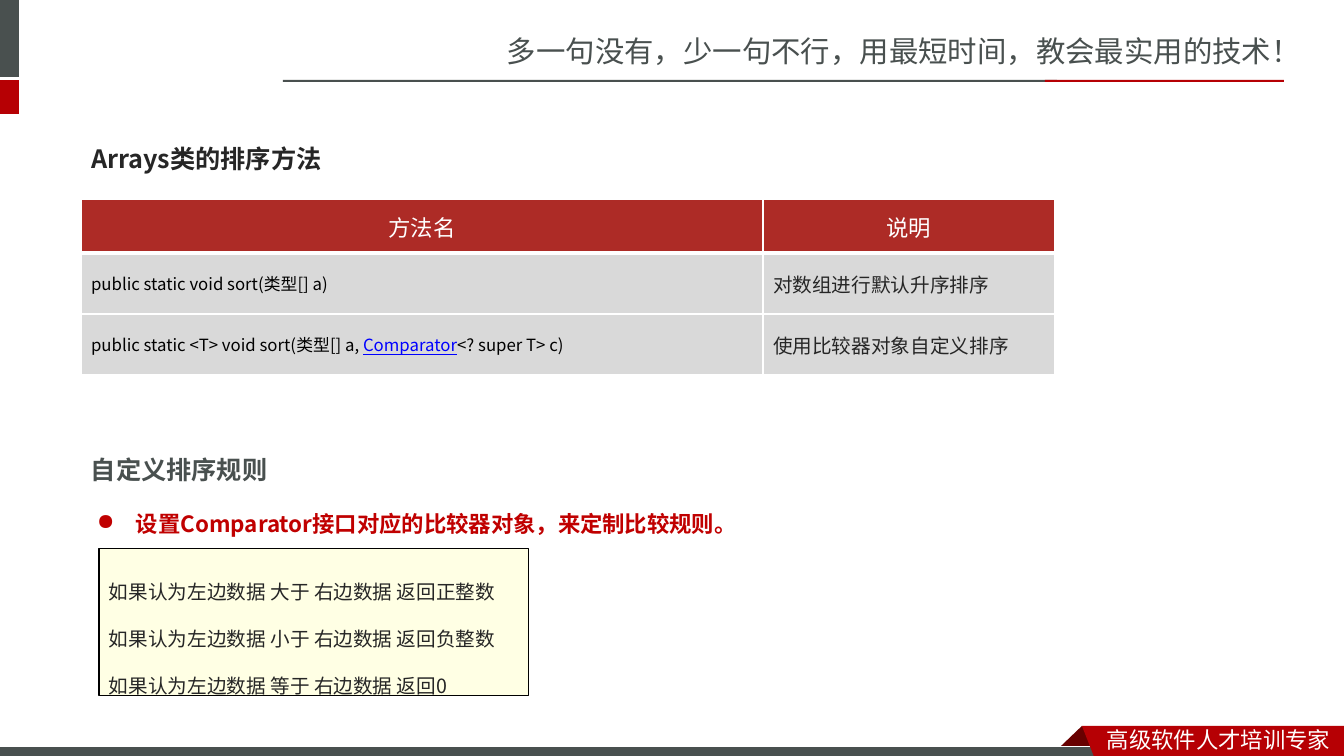
from dataclasses import dataclass

from lxml import etree
from pptx import Presentation
from pptx import util as u
from pptx.dml.color import RGBColor
from pptx.enum import shapes, text
from pptx.oxml import ns

PX = 12192000 / 1344


@dataclass(frozen=True)
class Theme:
    slate: str = "49504F"
    red: str = "B60004"
    fold_red: str = "680000"
    header_red: str = "AD2B26"
    accent: str = "C00000"
    ink: str = "262626"
    black: str = "000000"
    white: str = "FFFFFF"
    row_grey: str = "D9D9D9"
    note_yellow: str = "FFFFE4"
    link_blue: str = "0000FF"
    body_font: str = "Noto Sans CJK JP"
    frame_font: str = "Noto Sans CJK SC"
    slogan: int = 21
    heading: int = 18
    medium: int = 16
    body: int = 14
    code: int = 12
    line_factor: float = 2.4


T = Theme()


def px(length):
    return u.Emu(round(length * PX))


def box(*lengths):
    return [px(length) for length in lengths]


def rgb(colour):
    return RGBColor.from_string(colour)


def style_run(run, size, colour, font=T.body_font, bold=False):
    run.font.size = u.Pt(size)
    run.font.bold = bold
    run.font.color.rgb = rgb(colour)
    run.font.name = font
    east_asian = etree.SubElement(run._r.get_or_add_rPr(), ns.qn("a:ea"))
    east_asian.set("typeface", font)


def style_paragraphs(frame, size, colour, font=T.body_font, bold=False,
                     spacing=None, align=text.PP_ALIGN.LEFT):
    for paragraph in frame.paragraphs:
        paragraph.alignment = align
        if spacing:
            paragraph.line_spacing = u.Pt(spacing)
        for run in paragraph.runs:
            style_run(run, size, colour, font, bold)


def fill_frame(frame, wording, size, colour, **style):
    frame.word_wrap = True
    frame.auto_size = text.MSO_AUTO_SIZE.NONE
    frame.vertical_anchor = text.MSO_ANCHOR.TOP
    frame.text = wording
    style_paragraphs(frame, size, colour, **style)


def fill_spaced(frame, wording, size, colour, bold=False):
    """Fill a frame with widely spaced lines."""
    fill_frame(frame, wording, size, colour, bold=bold,
               spacing=round(size * T.line_factor, 1))
    frame.margin_top = px(7)


def paint(shape, fill, line=None):
    shape.shadow.inherit = False
    shape.fill.solid()
    shape.fill.fore_color.rgb = rgb(fill)
    if line:
        shape.line.color.rgb = rgb(line)
        shape.line.width = u.Pt(0.75)
    else:
        shape.line.fill.background()


def add_block(slide, place, fill, line=None):
    block = slide.shapes.add_shape(shapes.MSO_SHAPE.RECTANGLE, *box(*place))
    paint(block, fill, line)
    return block


def add_outline(slide, points, fill):
    builder = slide.shapes.build_freeform(*points[0], scale=PX)
    builder.add_line_segments(points[1:], close=True)
    paint(builder.convert_to_shape(), fill)


def add_label(slide, place):
    return slide.shapes.add_textbox(*box(*place)).text_frame


def add_bullet(paragraph, indent):
    properties = paragraph._p.get_or_add_pPr()
    properties.set("marL", str(px(indent)))
    properties.set("indent", str(-px(indent)))
    etree.SubElement(properties, ns.qn("a:buChar")).set("char", "●")


def border_cell(cell, widths):
    """Draw white left, right, top and bottom borders of the given points."""
    properties = cell._tc.get_or_add_tcPr()
    for side, width in zip("LRTB", widths):
        edge = etree.SubElement(properties, ns.qn(f"a:ln{side}"))
        edge.set("w", str(u.Pt(width)))
        solid = etree.SubElement(edge, ns.qn("a:solidFill"))
        etree.SubElement(solid, ns.qn("a:srgbClr")).set("val", T.white)


def fill_cell(cell, parts, fill, borders):
    cell.vertical_anchor = text.MSO_ANCHOR.MIDDLE
    border_cell(cell, borders)
    cell.fill.solid()
    cell.fill.fore_color.rgb = rgb(fill)
    for part in parts:
        cell.text_frame.paragraphs[0].add_run().text = part


def add_method_table(slide):
    rows = [
        (["方法名"], ["说明"]),
        (["public static void sort(类型[] a)"], ["对数组进行默认升序排序"]),
        (["public static <T> void sort(类型[] a, ", "Comparator", "<? super T> c)"],
         ["使用比较器对象自定义排序"]),
    ]
    borders = [(1, 1, 1, 3), (1, 1, 3, 1), (1, 1, 1, 1)]
    body_styles = [(T.code, T.black), (T.body, T.ink)]
    methods = slide.shapes.add_table(3, 2, *box(81, 199, 974, 176)).table
    for column, width in zip(methods.columns, (682, 292)):
        column.width = px(width)
    for row, height in zip(methods.rows, (54, 61, 61)):
        row.height = px(height)
    for r, row in enumerate(rows):
        for c, parts in enumerate(row):
            cell = methods.cell(r, c)
            fill_cell(cell, parts, T.row_grey if r else T.header_red, borders[r])
            if r:
                style_paragraphs(cell.text_frame, *body_styles[c])
            else:
                style_paragraphs(cell.text_frame, T.medium, T.white, spacing=24,
                                 align=text.PP_ALIGN.CENTER)
    comparator = methods.cell(2, 0).text_frame.paragraphs[0].runs[1]
    comparator.font.color.rgb = rgb(T.link_blue)
    comparator.font.underline = True


def add_frame(slide):
    """Add the slogan, rules and ribbon around the content."""
    fill_frame(add_label(slide, (497, 28, 848, 47)),
               "多一句没有，少一句不行，用最短时间，教会最实用的技术！",
               T.slogan, T.slate, font=T.frame_font)
    for place, fill in [
        ((-6, 0, 25, 77), T.slate),
        ((-6, 80, 25, 34), T.red),
        ((283, 80, 774, 2), T.slate),
        ((1045, 80, 239, 2), T.red),
    ]:
        add_block(slide, place, fill)
    add_outline(slide, [(1082, 726), (1104, 748), (1103, 749), (1060, 749),
                        (1059, 748)], T.fold_red)
    add_block(slide, (-1, 747, 1109, 12), T.slate, T.white)
    add_outline(slide, [(1082, 726), (1344, 726), (1344, 760), (1095, 759)], T.red)
    fill_frame(add_label(slide, (1097, 721, 247, 37)), "高级软件人才培训专家",
               T.medium, T.white, font=T.frame_font)


def add_title(slide):
    title = slide.shapes.title
    title.left, title.top, title.width, title.height = box(81, 106, 300, 64)
    fill_spaced(title.text_frame, "Arrays类的排序方法", T.heading, T.ink, bold=True)


def add_sorting_rules(slide):
    fill_spaced(add_label(slide, (81, 417, 672, 64)), "自定义排序规则",
                T.heading, T.slate, bold=True)
    advice = add_label(slide, (87, 476, 1101, 57))
    fill_spaced(advice, "设置Comparator接口对应的比较器对象，来定制比较规则。",
                T.medium, T.accent, bold=True)
    add_bullet(advice.paragraphs[0], 39)
    outcomes = [("大于", "正整数"), ("小于", "负整数"), ("等于", "0")]
    note = add_block(slide, (99, 549, 430, 147), T.note_yellow, T.black)
    fill_spaced(note.text_frame,
                "\n".join(f"如果认为左边数据 {relation} 右边数据 返回{value}"
                          for relation, value in outcomes),
                T.body, T.ink)


def main():
    deck = Presentation()
    deck.slide_width, deck.slide_height = box(1344, 756)
    slide = deck.slides.add_slide(deck.slide_layouts[5])
    add_frame(slide)
    add_title(slide)
    add_method_table(slide)
    add_sorting_rules(slide)
    deck.save("out.pptx")


if __name__ == "__main__":
    main()
